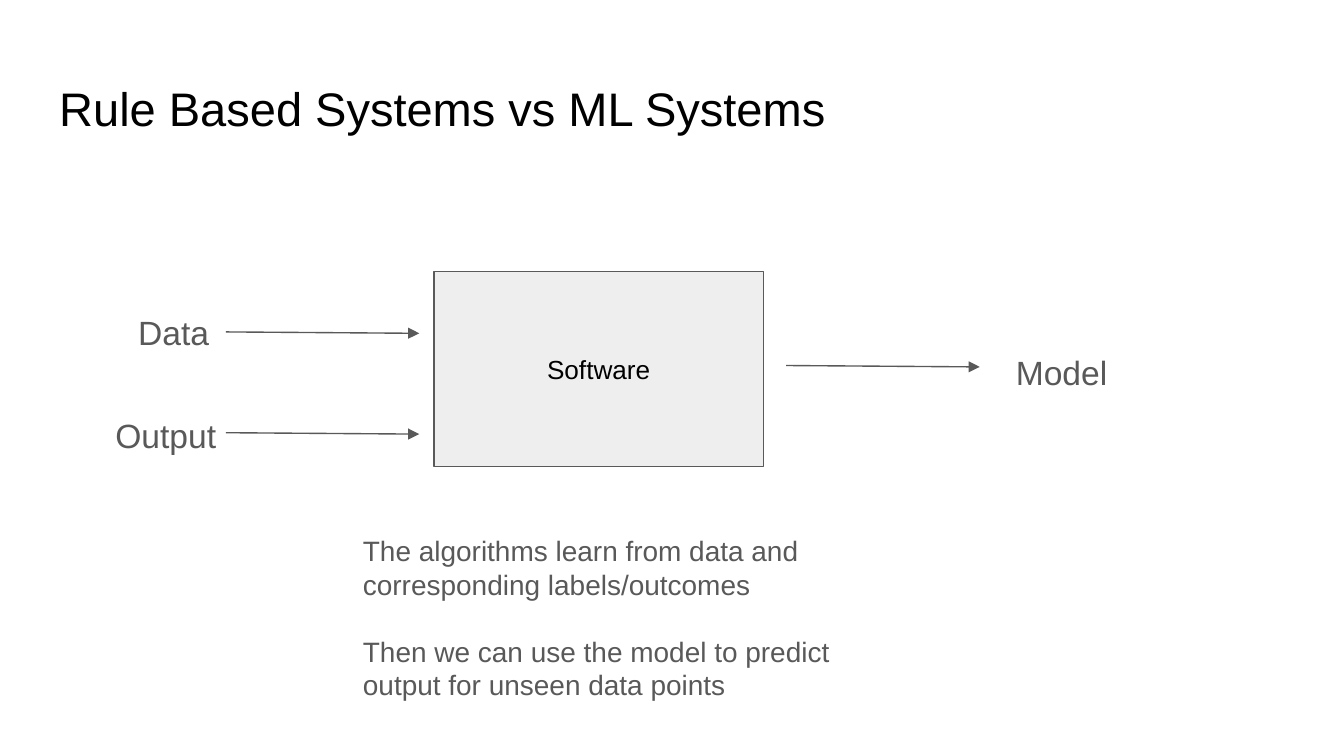
from dataclasses import dataclass
from typing import NamedTuple

from lxml.etree import SubElement
from pptx import Presentation
from pptx.dml.color import RGBColor
from pptx.enum.shapes import MSO_CONNECTOR as Connector, MSO_SHAPE as Shape
from pptx.enum.text import MSO_ANCHOR as Anchor, MSO_AUTO_SIZE as AutoSize, PP_ALIGN as Align
from pptx.oxml.ns import qn
from pptx.util import Inches, Pt


@dataclass(frozen=True)
class Theme:
    font: str = "Arial"
    ink: RGBColor = RGBColor(0x00, 0x00, 0x00)
    grey: RGBColor = RGBColor(0x59, 0x59, 0x59)
    box_fill: RGBColor = RGBColor(0xEE, 0xEE, 0xEE)
    title_size: float = 25.2
    label_size: float = 18
    body_size: float = 15
    box_size: float = 14
    line_width: float = 0.75
    paragraph_gap: float = 18


class Label(NamedTuple):
    text: str
    left: float
    top: float


class Arrow(NamedTuple):
    left: float
    top: float


THEME = Theme()
SLIDE_WIDTH = 10
SLIDE_HEIGHT = SLIDE_WIDTH * 9 / 16
LABELS = [Label("Data", 0.93, 2.22), Label("Output", 0.76, 2.99), Label("Model", 7.46, 2.52)]
ARROWS = [Arrow(1.68, 2.47), Arrow(1.68, 3.22), Arrow(5.85, 2.72)]
ARROW_RUN, ARROW_DROP = 1.44, 0.01
BODY = [
    "The algorithms learn from data and corresponding labels/outcomes",
    "Then we can use the model to predict output for unseen data points",
]


def place(shape, left: float, top: float, width: float, height: float) -> None:
    shape.left, shape.top = Inches(left), Inches(top)
    shape.width, shape.height = Inches(width), Inches(height)


def write(shape, texts: list[str], size: float, color: RGBColor,
          align: Align = Align.LEFT, anchor: Anchor = Anchor.TOP) -> None:
    """Fill a shape with plain, unbulleted paragraphs."""
    frame = shape.text_frame
    frame.word_wrap = True
    frame.auto_size = AutoSize.NONE
    frame.vertical_anchor = anchor
    frame.margin_left = frame.margin_right = Inches(0.1)
    frame.margin_top = frame.margin_bottom = Inches(0.1)
    for index, text in enumerate(texts):
        paragraph = frame.add_paragraph() if index else frame.paragraphs[0]
        paragraph.alignment = align
        paragraph.line_spacing = 1.0
        paragraph.space_before = Pt(THEME.paragraph_gap if index else 0)
        properties = paragraph._p.get_or_add_pPr()
        properties.set("marL", "0")
        properties.set("indent", "0")
        SubElement(properties, qn("a:buNone"))
        run = paragraph.add_run()
        run.text = text
        run.font.name = THEME.font
        run.font.size = Pt(size)
        run.font.color.rgb = color


def outline(shape) -> None:
    shape.line.color.rgb = THEME.grey
    shape.line.width = Pt(THEME.line_width)


def draw_box(shapes, text: str) -> None:
    box = shapes.add_shape(Shape.RECTANGLE, Inches(3.23), Inches(2.02), Inches(2.45), Inches(1.45))
    box.shadow.inherit = False
    box.fill.solid()
    box.fill.fore_color.rgb = THEME.box_fill
    outline(box)
    write(box, [text], THEME.box_size, THEME.ink, Align.CENTER, Anchor.MIDDLE)


def draw_label(shapes, label: Label) -> None:
    box = shapes.add_textbox(Inches(label.left), Inches(label.top), Inches(1.61), Inches(0.42))
    write(box, [label.text], THEME.label_size, THEME.grey)


def draw_arrow(shapes, arrow: Arrow) -> None:
    connector = shapes.add_connector(
        Connector.STRAIGHT, Inches(arrow.left), Inches(arrow.top),
        Inches(arrow.left + ARROW_RUN), Inches(arrow.top + ARROW_DROP))
    outline(connector)
    SubElement(connector.line._get_or_add_ln(), qn("a:tailEnd"), type="triangle")
    SubElement(connector._element.spPr, qn("a:effectLst"))


def main() -> None:
    presentation = Presentation()
    presentation.slide_width = Inches(SLIDE_WIDTH)
    presentation.slide_height = Inches(SLIDE_HEIGHT)
    slide = presentation.slides.add_slide(presentation.slide_layouts[1])

    # Title and explanation
    title, body = slide.placeholders
    place(title, 0.34, 0.49, 9.32, 0.63)
    write(title, ["Rule Based Systems vs ML Systems"], THEME.title_size, THEME.ink)
    place(body, 2.6, 3.87, 4.18, 0.67)
    write(body, BODY, THEME.body_size, THEME.grey)

    # Diagram: data and output go in, a model comes out
    diagram = slide.shapes.add_group_shape().shapes
    draw_box(diagram, "Software")
    for label in LABELS:
        draw_label(diagram, label)
    for arrow in ARROWS:
        draw_arrow(diagram, arrow)

    presentation.save("out.pptx")


if __name__ == "__main__":
    main()
